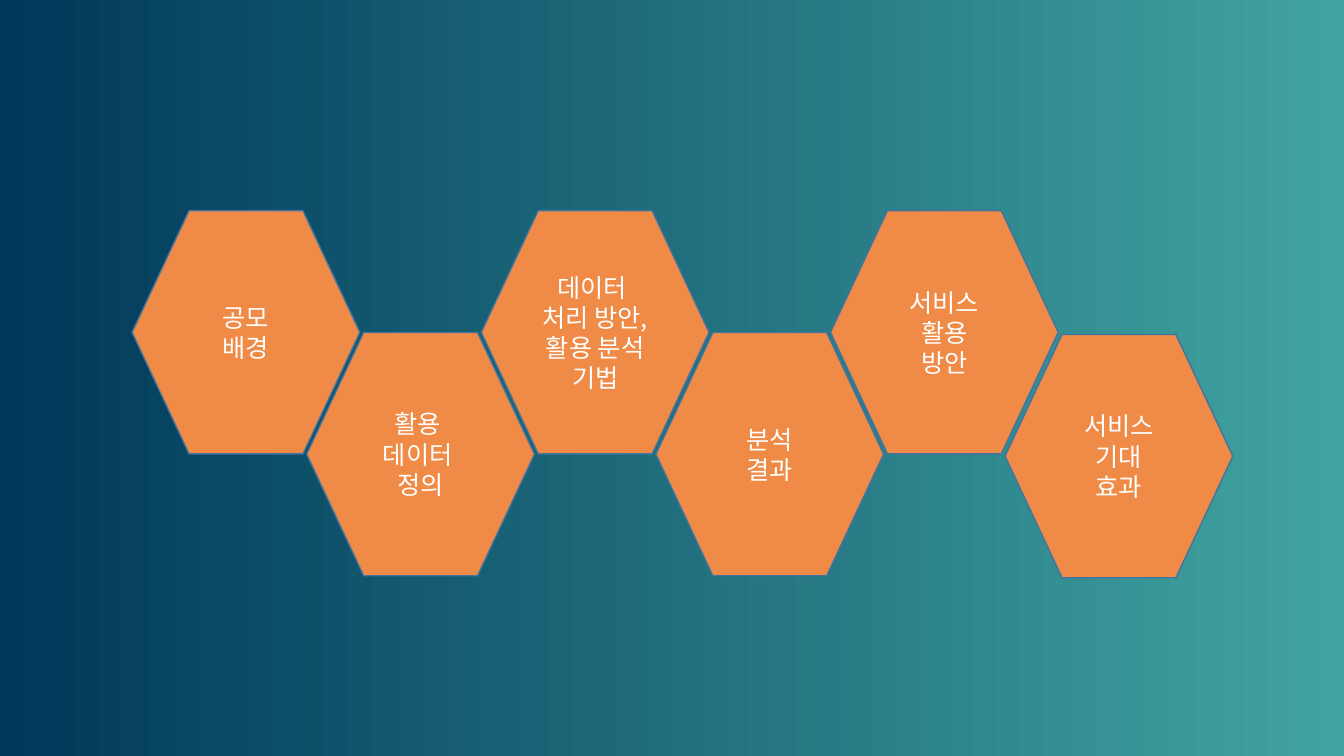
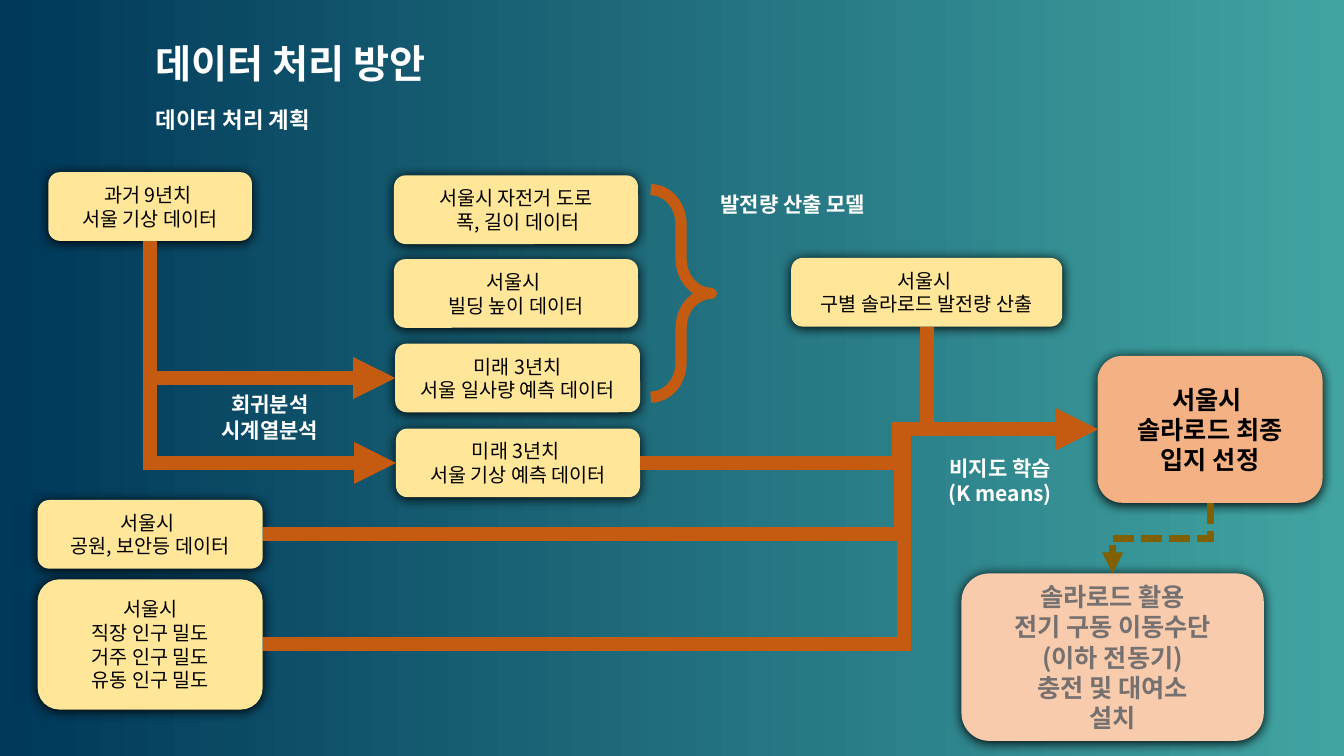
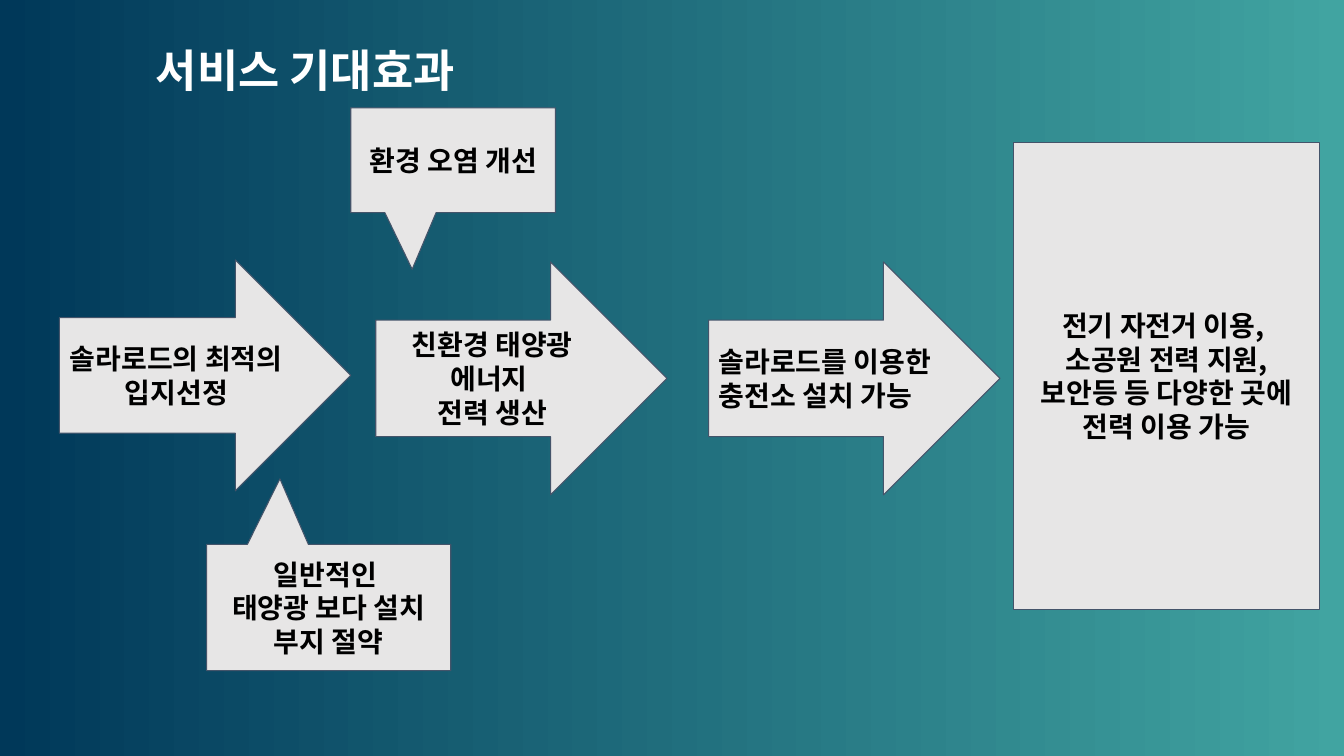
"""Build three slides on a solar-road site selection project."""
from lxml.etree import SubElement
from pptx import Presentation
from pptx.dml.color import RGBColor
from pptx.enum.dml import MSO_LINE
from pptx.enum.shapes import MSO_CONNECTOR, MSO_SHAPE
from pptx.enum.text import MSO_ANCHOR, PP_ALIGN
from pptx.oxml.ns import qn
from pptx.util import Cm, Pt

FONT = "Noto Sans CJK KR"
WHITE, BLACK, GREY = "FFFFFF", "000000", "767171"
ORANGE, RUST, OLIVE = "EF8B47", "C55A11", "806000"
CREAM, PEACH, PALE = "FFE699", "F4B183", "F8CBAD"
SILVER, SLATE, BLUE = "E7E6E6", "44546A", "43739E"
rgb = RGBColor.from_string


def write(s, text, size=14, color=BLACK, bold=False, align=PP_ALIGN.CENTER, spacing=None):
    """Fill a shape with text: newline starts a paragraph, vertical tab a line."""
    tf = s.text_frame
    tf.word_wrap = True
    for i, line in enumerate(text.split("\n")):
        p = tf.add_paragraph() if i else tf.paragraphs[0]
        p.text = line
        p.alignment = align
        p.line_spacing = spacing
        for r in p.runs:
            r.font.size, r.font.bold, r.font.name = Pt(size), bold, FONT
            r.font.color.rgb = rgb(color)
            SubElement(r.font._element, qn("a:ea"), typeface=FONT)


def add_box(sp, kind, at, fill=None, line=None, width=1):
    """Add a preset shape at (left, top, width, height) in centimetres."""
    s = sp.add_shape(kind, *map(Cm, at))
    s.shadow.inherit = False
    s.text_frame.vertical_anchor = MSO_ANCHOR.MIDDLE
    if fill:
        s.fill.solid()
        s.fill.fore_color.rgb = rgb(fill)
    else:
        s.fill.background()
    if line:
        s.line.color.rgb = rgb(line)
        s.line.width = Pt(width)
    else:
        s.line.fill.background()
    return s


prs = Presentation()
prs.slide_width, prs.slide_height = Cm(33.87), Cm(19.05)
bg = prs.slide_master.background.fill
bg.gradient()
bg.gradient_angle = 0
for stop, color in zip(bg.gradient_stops, ("003859", "41A4A1")):
    stop.color.rgb = rgb(color)
agenda, plan, effects = [prs.slides.add_slide(prs.slide_layouts[6]).shapes for _ in range(3)]

topics = [
    ("공모\v배경", 5.31),
    ("활용 \v데이터 \v정의", 8.38),
    ("데이터 \v처리 방안,\v활용 분석\v기법", 5.31),
    ("분석\v결과", 8.38),
    ("서비스\v활용\v방안", 5.31),
    ("서비스\v기대\v효과", 8.43),
]
for i, (text, top) in enumerate(topics):
    s = add_box(agenda, MSO_SHAPE.HEXAGON, (3.33 + 4.4 * i, top, 5.74, 6.13), ORANGE, BLUE)
    write(s, text, size=18, color=WHITE)

headings = [
    (plan, "데이터 처리 방안 ", 28, 0.28),
    (plan, "데이터 처리 계획", 16, 2.21),
    (effects, "서비스 기대효과", 32, 0.28),
]
for sp, text, size, top in headings:
    s = sp.add_textbox(Cm(3.68), Cm(top), Cm(12.14), Cm(size / 15))
    write(s, text, size=size, color=WHITE, bold=True, align=PP_ALIGN.JUSTIFY, spacing=1.5)

data_style = {"size": 14}
site_style = {"size": 18, "bold": True}
rental_style = {"size": 18, "bold": True, "color": GREY}
steps = {
    "past": ("과거 9년치 \n서울 기상 데이터", (1.22, 4.34, 5.13, 1.73), CREAM, data_style),
    "road": ("서울시 자전거 도로\n 폭, 길이 데이터", (9.93, 4.42, 6.15, 1.73), CREAM, data_style),
    "building": ("서울시 \n빌딩 높이 데이터", (9.93, 6.53, 6.15, 1.73), CREAM, data_style),
    "sunlight": ("미래 3년치\n서울 일사량 예측 데이터", (9.96, 8.66, 6.17, 1.73), CREAM, data_style),
    "weather": ("미래 3년치 \n서울 기상 예측 데이터", (9.98, 10.8, 6.15, 1.73), CREAM, data_style),
    "output": ("서울시 \n구별 솔라로드 발전량 산출", (19.94, 6.5, 6.83, 1.73), CREAM, data_style),
    "park": ("서울시 \n공원, 보안등 데이터", (0.95, 12.6, 5.67, 1.73), CREAM, data_style),
    "people": ("서울시\n직장 인구 밀도\n거주 인구 밀도\n유동 인구 밀도",
               (0.95, 14.6, 5.67, 3.28), CREAM, data_style),
    "site": ("서울시 \n솔라로드 최종 입지 선정", (27.66, 8.97, 5.67, 3.7), PEACH, site_style),
    "rental": ("솔라로드 활용\n전기 구동 이동수단\n(이하 전동기)\n충전 및 대여소\n설치",
               (24.23, 14.45, 7.62, 4.22), PALE, rental_style),
}
boxes = {}
for name, (text, at, fill, style) in steps.items():
    s = boxes[name] = add_box(plan, MSO_SHAPE.ROUNDED_RECTANGLE, at, fill)
    write(s, text, **style)
    effects_list = s._element.spPr.find(qn("a:effectLst"))
    shadow = SubElement(effects_list, qn("a:outerShdw"), blurRad=str(Pt(8.5)),
                        dist=str(Pt(1)), dir="5400000", algn="t", rotWithShape="0")
    SubElement(shadow, qn("a:srgbClr"), val=BLACK)

brace = add_box(plan, MSO_SHAPE.RIGHT_BRACE, (16.4, 4.78, 1.53, 5.23), line=RUST, width=8)
brace.adjustments[0] = 0.57

labels = [
    ("비지도 학습\n(K means)", 22.37, 11.35, 1.55),
    ("회귀분석\n시계열분석", 3.97, 9.75, 1.55),
    ("발전량 산출 모델", 17.15, 4.7, 0.89),
]
for text, left, top, height in labels:
    s = plan.add_textbox(Cm(left), Cm(top), Cm(5.67), Cm(height))
    write(s, text, size=15, color=WHITE, bold=True)

TOP, LEFT, BOTTOM, RIGHT = range(4)
flows = [
    ("past", BOTTOM, "weather", LEFT, None),
    ("past", BOTTOM, "sunlight", LEFT, None),
    ("output", BOTTOM, "site", LEFT, None),
    ("weather", RIGHT, "site", LEFT, 56700),
    ("park", RIGHT, "site", LEFT, 76500),
    ("people", RIGHT, "site", LEFT, 76800),
    ("site", BOTTOM, "rental", TOP, 50000),
]
for start, out, end, into, bend in flows:
    c = plan.add_connector(MSO_CONNECTOR.ELBOW, 0, 0, 0, 0)
    c.begin_connect(boxes[start], out)
    c.end_connect(boxes[end], into)
    spPr = c._element.spPr
    geom = spPr.find(qn("a:prstGeom"))
    if out == BOTTOM:
        x, y, w, h = c.left, c.top, c.width, c.height
        c.left, c.top, c.width, c.height = x + (w - h) // 2, y + (h - w) // 2, h, w
        xfrm = spPr.find(qn("a:xfrm"))
        xfrm.set("rot", "5400000" if into == TOP else "16200000")
        xfrm.set("flipH", "0" if into == TOP else "1")
        xfrm.set("flipV", "0")
    if bend is None:
        geom.set("prst", "bentConnector2")
    else:
        SubElement(geom.find(qn("a:avLst")), qn("a:gd"), name="adj1", fmla=f"val {bend}")
    c.line.color.rgb = rgb(OLIVE if end == "rental" else RUST)
    c.line.width = Pt(5 if end == "rental" else 10)
    if end == "rental":
        c.line.dash_style = MSO_LINE.SQUARE_DOT
    ln = spPr.find(qn("a:ln"))
    SubElement(ln, qn("a:miter"), lim="800000")
    SubElement(ln, qn("a:tailEnd"), type="triangle")
    SubElement(spPr, qn("a:effectLst"))

arrow, callout = MSO_SHAPE.RIGHT_ARROW, MSO_SHAPE.RECTANGULAR_CALLOUT
benefits = [
    (MSO_SHAPE.RECTANGLE, "전기 자전거 이용, \v소공원 전력 지원, 보안등 등 다양한 곳에 전력 이용 가능",
     (25.55, 3.58, 7.7, 11.79), (), PP_ALIGN.CENTER),
    (callout, "일반적인 \v태양광 보다 설치 부지 절약",
     (5.21, 13.72, 6.15, 3.18), (-0.2, -1.02), PP_ALIGN.CENTER),
    (arrow, "솔라로드의 최적의 입지선정", (1.5, 6.55, 7.34, 5.82), (), PP_ALIGN.CENTER),
    (arrow, "친환경 태양광 에너지 \n전력 생산", (9.47, 6.6, 7.34, 5.87), (), PP_ALIGN.CENTER),
    (callout, "환경 오염 개선", (8.84, 2.72, 5.16, 2.64), (-0.2, 1.04), PP_ALIGN.CENTER),
    (arrow, "솔라로드를 이용한 충전소 설치 가능", (17.86, 6.6, 7.34, 5.87), (), PP_ALIGN.LEFT),
]
for kind, text, at, tip, align in benefits:
    s = add_box(effects, kind, at, SILVER, SLATE, 0.75)
    for i, value in enumerate(tip):
        s.adjustments[i] = value
    write(s, text, size=20, bold=True, align=align)

prs.save("out.pptx")
